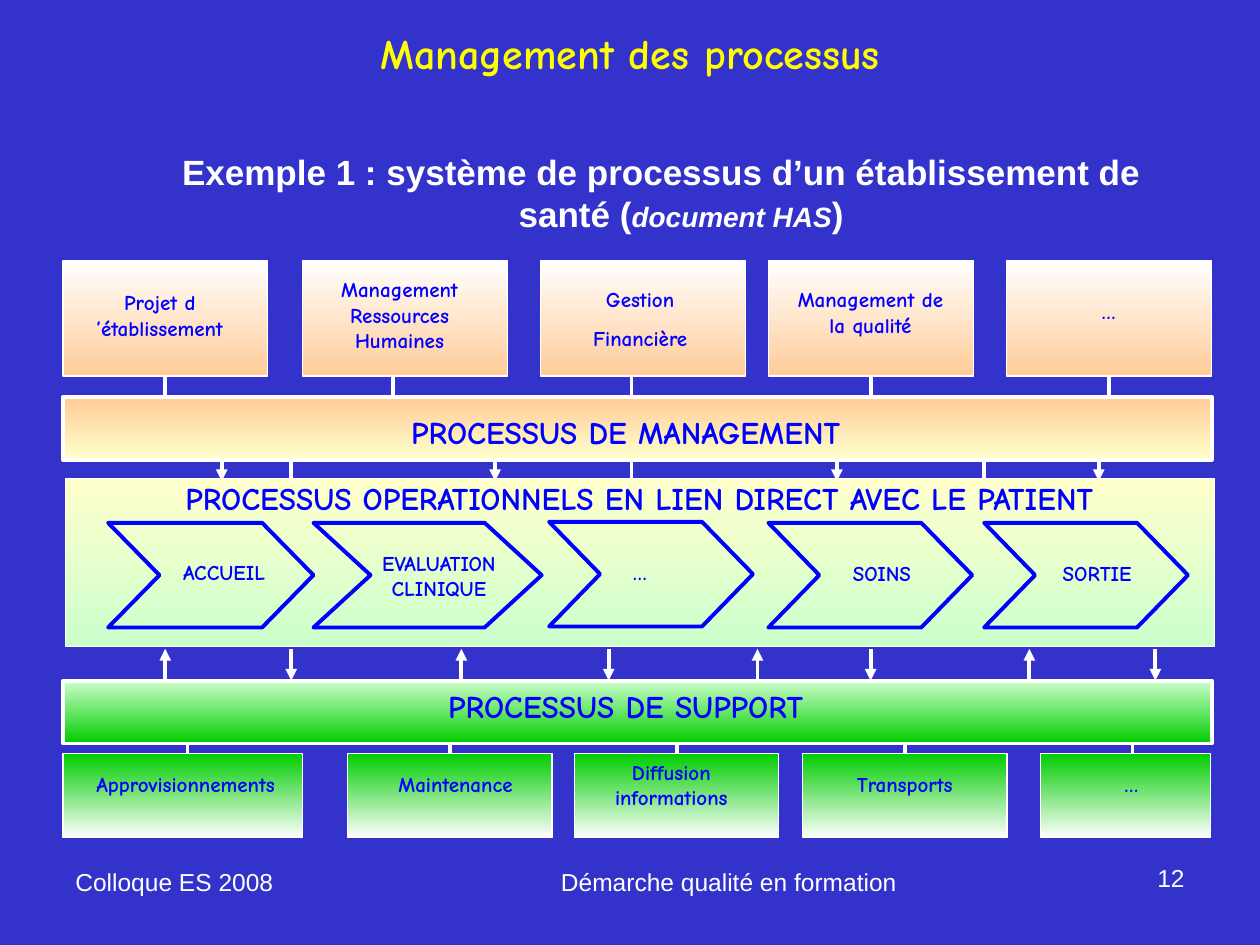
from dataclasses import dataclass
from typing import Optional

from lxml.etree import SubElement
from pptx import Presentation
from pptx.dml.color import RGBColor
from pptx.enum.shapes import MSO_CONNECTOR as Connector, MSO_SHAPE as Shape
from pptx.enum.text import MSO_ANCHOR as Anchor, MSO_AUTO_SIZE as AutoSize, PP_ALIGN as Align
from pptx.oxml.ns import qn
from pptx.util import Cm, Pt

BLUE, WHITE, YELLOW, BACKGROUND = "0000FF", "FFFFFF", "FFFF00", "3333CC"
PEACH, CREAM, MINT, GREEN = "FFCC99", "FFFFCC", "CCFFCC", "00CC00"
COMIC, ARIAL = "Comic Neue", "Arial"


@dataclass
class Frame:
    """Position and size in centimetres."""
    left: float
    top: float
    width: float
    height: float

    def lengths(self):
        return [Cm(value) for value in (self.left, self.top, self.width, self.height)]


@dataclass
class Label:
    """Text of one process with its frame."""
    text: str
    frame: Frame


@dataclass
class Links:
    """Vertical links that share their two ends."""
    positions: list[float]
    start: float
    end: float
    arrow: bool = True


def color(value: str) -> RGBColor:
    """Turn a hex string into a colour."""
    return RGBColor.from_string(value)


def add_run(paragraph, text: str, size: float, font_name: str, value: str,
            bold: bool = True, italic: bool = False) -> None:
    """Append one formatted run."""
    run = paragraph.add_run()
    run.text = text
    font = run.font
    font.size, font.name, font.bold, font.italic = Pt(size), font_name, bold, italic
    font.color.rgb = color(value)


def place(shape, frame: Frame) -> None:
    """Move a placeholder to its frame."""
    shape.left, shape.top, shape.width, shape.height = frame.lengths()
    shape.text_frame.auto_size = AutoSize.NONE


def draw_text(slide, label: Label, size: float = 12, font_name: str = COMIC, value: str = BLUE,
              bold: bool = True, align=Align.CENTER) -> None:
    """Draw a text box with one paragraph for each line."""
    text_frame = slide.shapes.add_textbox(*label.frame.lengths()).text_frame
    text_frame.word_wrap = True
    for index, line in enumerate(label.text.split("\n")):
        paragraph = text_frame.add_paragraph() if index else text_frame.paragraphs[0]
        paragraph.alignment = align
        paragraph.space_before = Pt(7.5 if index else 0)
        add_run(paragraph, line, size, font_name, value, bold)


def draw_box(slide, frame: Frame, upper: str, lower: str, line_width: float = 0.75):
    """Draw a white-edged rectangle with a vertical gradient."""
    shape = slide.shapes.add_shape(Shape.RECTANGLE, *frame.lengths())
    shape.shadow.inherit = False
    shape.fill.gradient()
    shape.fill.gradient_angle = 270
    for stop, value in zip(shape.fill.gradient_stops, (upper, lower)):
        stop.color.rgb = color(value)
    shape.line.color.rgb = color(WHITE)
    shape.line.width = Pt(line_width)
    return shape


def draw_chevron(slide, frame: Frame) -> None:
    """Draw a chevron whose notch is a quarter of its width."""
    notch = frame.width / 4
    right, bottom = frame.left + frame.width, frame.top + frame.height
    middle = frame.top + frame.height / 2
    outline = [(right - notch, frame.top), (right, middle), (right - notch, bottom),
               (frame.left, bottom), (frame.left + notch, middle)]
    builder = slide.shapes.build_freeform(Cm(frame.left), Cm(frame.top))
    builder.add_line_segments([(Cm(x), Cm(y)) for x, y in outline], close=True)
    shape = builder.convert_to_shape()
    shape.shadow.inherit = False
    shape.fill.background()
    shape.line.color.rgb = color(BLUE)
    shape.line.width = Pt(2.25)


def draw_links(slide, links: Links, boxes: Optional[list] = None, above: bool = True) -> None:
    """Draw vertical links, joined to the boxes they meet at mid-side."""
    for index, x in enumerate(links.positions):
        connector = slide.shapes.add_connector(
            Connector.STRAIGHT, Cm(x), Cm(links.start), Cm(x), Cm(links.end))
        connector.line.color.rgb = color(WHITE)
        connector.line.width = Pt(2.25)
        if links.arrow:
            SubElement(connector.line._get_or_add_ln(), qn("a:tailEnd"), type="triangle")
        SubElement(connector._element.spPr, qn("a:effectLst"))
        box = boxes[index] if boxes else None
        if box and abs(box.left + box.width // 2 - Cm(x)) < Cm(0.05):
            if above:
                connector.begin_connect(box, 2)
                connector.end_x = connector.begin_x
            else:
                connector.end_connect(box, 0)
                connector.begin_x = connector.end_x


def fill_placeholders(slide) -> None:
    """Write the title and the heading of the example."""
    title, body = slide.placeholders[0], slide.placeholders[1]
    place(title, Frame(0, 0, 25.4, 2.13))
    title.text_frame.vertical_anchor = Anchor.MIDDLE
    paragraph = title.text_frame.paragraphs[0]
    paragraph.alignment = Align.CENTER
    add_run(paragraph, "Management des processus", 24, COMIC, YELLOW)

    place(body, Frame(1.27, 2.9, 22.86, 14.12))
    paragraph = body.text_frame.paragraphs[0]
    paragraph.level, paragraph.alignment, paragraph.space_before = 1, Align.CENTER, Pt(0)
    properties = paragraph._p.get_or_add_pPr()
    properties.set("marL", str(Cm(2.06)))
    properties.set("indent", str(Cm(-0.79)))
    SubElement(properties, qn("a:buNone"))
    add_run(paragraph, "Exemple 1 : système de processus d’un établissement de santé (",
            20, ARIAL, WHITE)
    add_run(paragraph, "document HAS", 16, ARIAL, WHITE, italic=True)
    add_run(paragraph, ")", 20, ARIAL, WHITE)


def draw_operations(slide) -> None:
    """Draw the patient path with its chevrons."""
    draw_box(slide, Frame(1.32, 9.65, 23.16, 3.38), CREAM, MINT)
    for left, top, width in [(2.18, 10.54, 4.14), (6.32, 10.54, 4.6), (11.07, 10.52, 4.11),
                             (15.49, 10.54, 4.11), (19.84, 10.54, 4.11)]:
        draw_chevron(slide, Frame(left, top, width, 2.11))
    for label in [Label("ACCUEIL", Frame(2.69, 11.15, 3.66, 0.76)),
                  Label("EVALUATION CLINIQUE", Frame(6.78, 10.97, 4.14, 1.27)),
                  Label("…", Frame(11.07, 11.15, 3.66, 0.76)),
                  Label("SOINS", Frame(15.95, 11.18, 3.66, 0.76)),
                  Label("SORTIE", Frame(20.29, 11.18, 3.66, 0.76))]:
        draw_text(slide, label)
    draw_text(slide, Label("PROCESSUS OPERATIONNELS EN LIEN DIRECT AVEC LE PATIENT",
                           Frame(1.32, 9.53, 23.14, 1.02)), 18)


def draw_management(slide) -> None:
    """Draw the management processes and their links."""
    boxes = [draw_box(slide, Frame(left, 5.26, 4.13, 2.32), WHITE, PEACH)
             for left in (1.27, 6.1, 10.9, 15.49, 20.29)]
    for label in [Label("Projet d ’établissement", Frame(1.04, 5.72, 4.37, 1.27)),
                  Label("Management Ressources Humaines", Frame(6.1, 5.46, 3.91, 1.78)),
                  Label("Gestion\nFinancière", Frame(10.72, 5.66, 4.37, 1.55)),
                  Label("Management de la qualité", Frame(15.72, 5.66, 3.66, 1.27)),
                  Label("…", Frame(20.75, 5.89, 3.2, 0.76))]:
        draw_text(slide, label)
    draw_box(slide, Frame(1.27, 8, 23.16, 1.27), PEACH, CREAM, 2.25)
    draw_text(slide, Label("PROCESSUS DE MANAGEMENT", Frame(5.16, 8.2, 14.91, 1.02)), 18)
    draw_links(slide, Links([3.33, 7.92, 12.73, 17.55, 22.38], 7.57, 8, False), boxes)
    draw_links(slide, Links([5.87, 12.73, 19.84], 9.27, 9.7, False))
    draw_links(slide, Links([4.47, 9.98, 16.87, 22.15], 9.27, 9.7))


def draw_support(slide) -> None:
    """Draw the support processes and their links."""
    boxes = [draw_box(slide, Frame(left, 15.19, width, 1.7), GREEN, WHITE)
             for left, width in [(1.27, 4.83), (7.01, 4.12), (11.58, 4.12),
                                 (16.18, 4.12), (20.98, 3.43)]]
    draw_box(slide, Frame(1.27, 13.72, 23.16, 1.27), MINT, GREEN, 2.25)
    for label in [Label("Approvisionnements", Frame(1.27, 15.42, 4.95, 0.76)),
                  Label("Maintenance", Frame(7.24, 15.42, 3.89, 0.76)),
                  Label("Diffusion informations", Frame(11.35, 15.19, 4.37, 1.27)),
                  Label("Transports", Frame(16.41, 15.42, 3.66, 0.76)),
                  Label("…", Frame(21.21, 15.42, 3.2, 0.76))]:
        draw_text(slide, label)
    draw_text(slide, Label("PROCESSUS DE SUPPORT", Frame(5.16, 13.72, 14.91, 1.02)), 18)
    draw_links(slide, Links([3.78, 9.07, 13.67, 18.24, 22.83], 14.99, 15.19, False), boxes, False)
    draw_links(slide, Links([3.33, 9.3, 15.27, 20.75], 13.72, 13.08))
    draw_links(slide, Links([5.87, 12.27, 17.55, 23.29], 13.08, 13.72))


def main() -> None:
    """Build the slide and save it."""
    presentation = Presentation()
    presentation.slide_width, presentation.slide_height = Cm(25.4), Cm(19.05)
    slide = presentation.slides.add_slide(presentation.slide_layouts[1])
    slide.background.fill.solid()
    slide.background.fill.fore_color.rgb = color(BACKGROUND)
    fill_placeholders(slide)
    draw_operations(slide)
    draw_management(slide)
    draw_support(slide)
    for text, frame, align in [
            ("Démarche qualité en formation", Frame(8.69, 17.35, 12.01, 1.32), Align.CENTER),
            ("12", Frame(21.95, 17.27, 2.18, 1.32), Align.RIGHT),
            ("Colloque ES 2008", Frame(1.27, 17.35, 5.92, 1.32), Align.LEFT)]:
        draw_text(slide, Label(text, frame), 14, ARIAL, WHITE, False, align)
    presentation.save("out.pptx")


if __name__ == "__main__":
    main()
